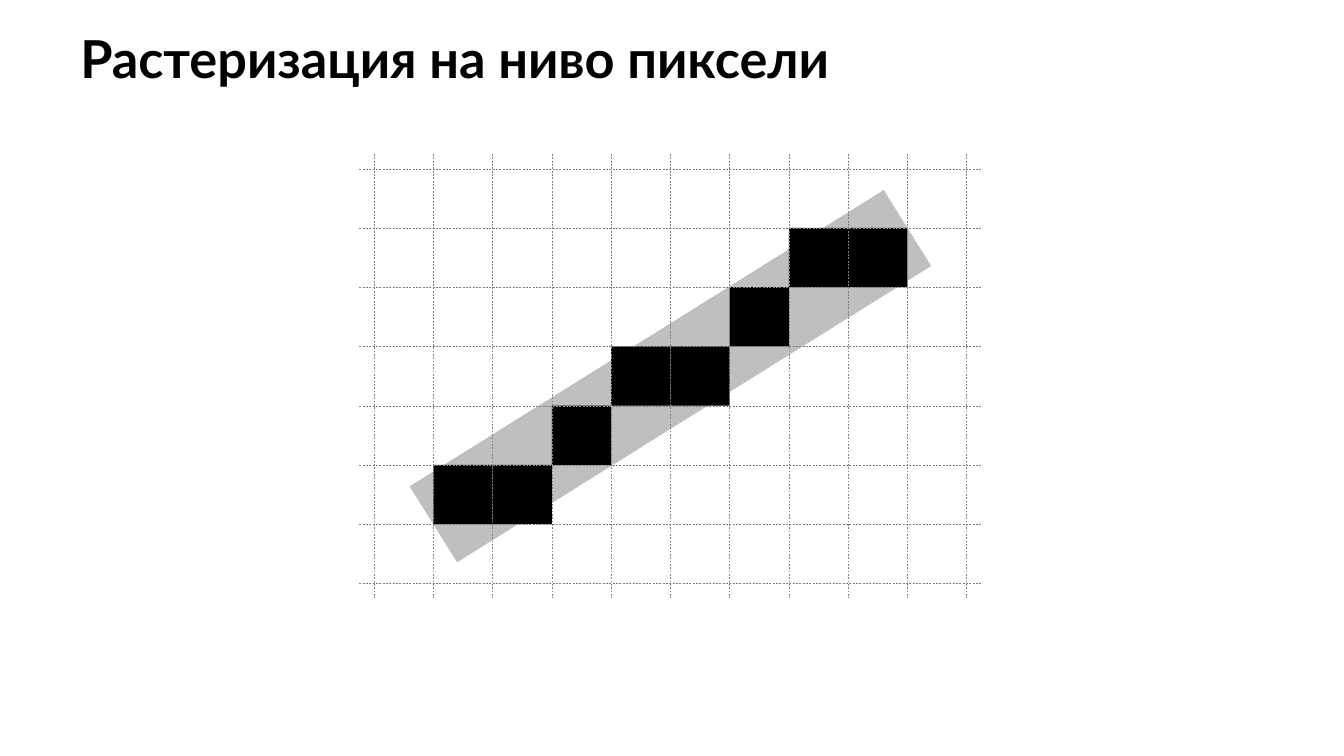
from dataclasses import dataclass

from lxml.etree import SubElement
from pptx import Presentation
from pptx.dml.color import RGBColor
from pptx.enum.dml import MSO_LINE
from pptx.enum.shapes import MSO_CONNECTOR, MSO_SHAPE
from pptx.oxml.ns import qn
from pptx.util import Cm, Pt


@dataclass(frozen=True)
class Theme:
    ink: RGBColor = RGBColor(0, 0, 0)
    gray: RGBColor = RGBColor(0x80, 0x80, 0x80)
    font: str = "Lato"
    title: Pt = Pt(28)
    hair: Pt = Pt(0.25)
    band: Pt = Pt(48)


@dataclass(frozen=True)
class Grid:
    left: float = 7.07
    top: float = 3.19
    cell: float = 1.12
    cols: int = 10
    rows: int = 7
    over: float = 0.28  # overhang of the grid lines

    def x(self, col: float) -> float:
        return self.left + col * self.cell

    def y(self, row: float) -> float:
        return self.top + row * self.cell


@dataclass(frozen=True)
class Pixel:
    col: int
    row: int


THEME = Theme()
GRID = Grid()
# Row of each filled pixel, from column 1 rightwards
PIXELS = [Pixel(col, row) for col, row in enumerate((5, 5, 4, 3, 3, 2, 1, 1), 1)]


def draw_line(shapes, x1: float, y1: float, x2: float, y2: float, width: Pt):
    line = shapes.add_connector(MSO_CONNECTOR.STRAIGHT, Cm(x1), Cm(y1), Cm(x2), Cm(y2))
    line.line.color.rgb = THEME.gray
    line.line.width = width
    SubElement(line._element.spPr, qn("a:effectLst"))
    return line


def draw_band(shapes) -> None:
    band = draw_line(shapes, GRID.x(1), GRID.y(6), GRID.x(9), GRID.y(1), THEME.band)
    color = band._element.spPr.find(".//" + qn("a:srgbClr"))
    SubElement(color, qn("a:alpha"), val="50000")


def draw_pixel(shapes, pixel: Pixel) -> None:
    box = shapes.add_shape(MSO_SHAPE.RECTANGLE, Cm(GRID.x(pixel.col)),
                           Cm(GRID.y(pixel.row)), Cm(GRID.cell), Cm(GRID.cell))
    box.shadow.inherit = False
    box.fill.solid()
    box.fill.fore_color.rgb = THEME.ink
    box.line.fill.background()


def draw_title(shapes, text: str) -> None:
    box = shapes.add_textbox(Cm(1.27), Cm(0.38), Cm(24.13), Cm(13.54))
    box.text_frame.word_wrap = True
    para = box.text_frame.paragraphs[0]
    para.text = text
    para.font.name = THEME.font
    para.font.size = THEME.title
    para.font.bold = True
    para.font.color.rgb = THEME.ink


def draw_grid(shapes) -> None:
    rows = [(GRID.x(0) - GRID.over, GRID.y(row), GRID.x(GRID.cols) + GRID.over, GRID.y(row))
            for row in range(GRID.rows + 1)]
    cols = [(GRID.x(col), GRID.y(0) - GRID.over, GRID.x(col), GRID.y(GRID.rows) + GRID.over)
            for col in range(GRID.cols + 1)]
    for lines in (rows, cols):
        group = shapes.add_group_shape()
        for ends in lines:
            line = draw_line(group.shapes, *ends, THEME.hair)
            line.line.dash_style = MSO_LINE.DASH


def main() -> None:
    deck = Presentation()
    deck.slide_width, deck.slide_height = Cm(25.4), Cm(14.29)
    shapes = deck.slides.add_slide(deck.slide_layouts[6]).shapes

    # Ideal line and the pixels that stand for it
    draw_band(shapes)
    for pixel in PIXELS:
        draw_pixel(shapes, pixel)

    # Title, then the grid on top
    draw_title(shapes, "Растеризация на ниво пиксели")
    draw_grid(shapes)
    deck.save("out.pptx")


if __name__ == "__main__":
    main()
